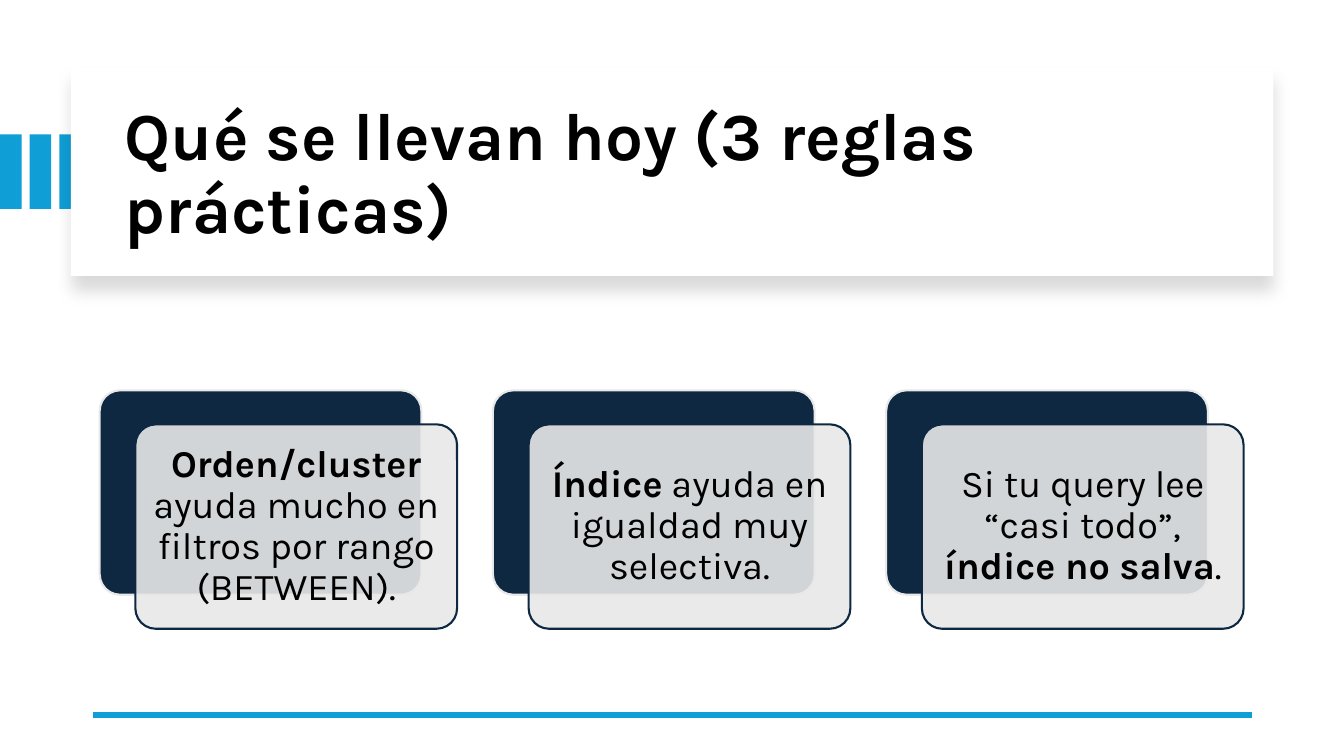
from lxml.etree import SubElement
from pptx import Presentation
from pptx.dml.color import RGBColor
from pptx.enum.shapes import MSO_CONNECTOR, MSO_SHAPE
from pptx.enum.text import MSO_ANCHOR, MSO_AUTO_SIZE, PP_ALIGN
from pptx.oxml.ns import qn
from pptx.util import Pt

COLORS = {"accent": "0F9ED5", "navy": "0E2841", "gray": "E8E8E8",
          "white": "FFFFFF", "black": "000000"}
RULES = [
    [("Orden/cluster", True), (" ayuda mucho en filtros por rango (BETWEEN).", False)],
    [("Índice", True), (" ayuda en igualdad muy selectiva.", False)],
    [("Si tu query lee “casi todo”, ", False), ("índice no salva", True), (".", False)],
]


def add_box(kind, x, y, w, h, fill, line=None):
    s = slide.shapes.add_shape(kind, Pt(x), Pt(y), Pt(w), Pt(h))
    s.shadow.inherit = False
    s.fill.solid()
    s.fill.fore_color.rgb = RGBColor.from_string(COLORS[fill])
    if line:
        s.line.color.rgb = RGBColor.from_string(COLORS[line])
        s.line.width = Pt(1.5)
    else:
        s.line.fill.background()
    return s


def add_text(tf, runs, size, align, frame):
    for name, value in frame.items():
        setattr(tf, name, value)
    p = tf.paragraphs[0]
    p.alignment = align
    p.line_spacing = 0.9
    for text, bold in runs:
        r = p.add_run()
        r.text = text
        for name, value in {"name": "Karla", "size": Pt(size), "bold": bold}.items():
            setattr(r.font, name, value)
        r.font.color.rgb = RGBColor.from_string(COLORS["black"])


prs = Presentation()
prs.slide_width, prs.slide_height = Pt(960), Pt(540)
slide = prs.slides.add_slide(prs.slide_layouts[5])
title = slide.shapes.title

# Stripes on the left edge
for i in range(3):
    add_box(MSO_SHAPE.RECTANGLE, i * 21.2, 96, 15.4, 53.2, "accent")

# Title panel with a soft shadow
panel = add_box(MSO_SHAPE.RECTANGLE, 50.6, 48.2, 859, 149, "white")
effects = panel._element.spPr.find(qn("a:effectLst"))
shadow = SubElement(effects, qn("a:outerShdw"), blurRad=str(Pt(11)),
                    dist=str(Pt(10)), dir="5400000", algn="t", rotWithShape="0")
color = SubElement(shadow, qn("a:srgbClr"), val=COLORS["black"])
SubElement(color, qn("a:alpha"), val="15000")

# Title, brought in front of the panel
title.left, title.top, title.width, title.height = Pt(82), Pt(64), Pt(801.4), Pt(122.4)
panel._element.addnext(title._element)
add_text(title.text_frame, [("Qué se llevan hoy (3 reglas prácticas)", True)], 48,
         PP_ALIGN.LEFT, {"word_wrap": True, "auto_size": MSO_AUTO_SIZE.NONE,
                         "vertical_anchor": MSO_ANCHOR.MIDDLE})

# Bottom rule
rule = slide.shapes.add_connector(MSO_CONNECTOR.STRAIGHT, Pt(894.2), Pt(510.5),
                                  Pt(66.2), Pt(510.5))
rule.line.color.rgb = RGBColor.from_string(COLORS["accent"])
rule.line.width = Pt(4.5)
SubElement(rule._element.spPr, qn("a:effectLst"))

# Three cards, each a navy back and a translucent front with text
for i, runs in enumerate(RULES):
    x = 71.2 + i * 280.9
    back = add_box(MSO_SHAPE.ROUNDED_RECTANGLE, x, 278.8, 229.8, 146, "navy", "gray")
    front = add_box(MSO_SHAPE.ROUNDED_RECTANGLE, x + 25.5, 303.1, 229.8, 146, "gray", "navy")
    for s in (back, front):
        s.adjustments[0] = 0.1
    fill = front._element.spPr.find(qn("a:solidFill"))
    SubElement(fill[0], qn("a:alpha"), val="90000")
    add_text(front.text_frame, runs, 27, PP_ALIGN.CENTER,
             {"word_wrap": True, "vertical_anchor": MSO_ANCHOR.MIDDLE,
              "margin_left": Pt(8), "margin_right": Pt(8),
              "margin_top": Pt(8), "margin_bottom": Pt(8)})

prs.save("out.pptx")
